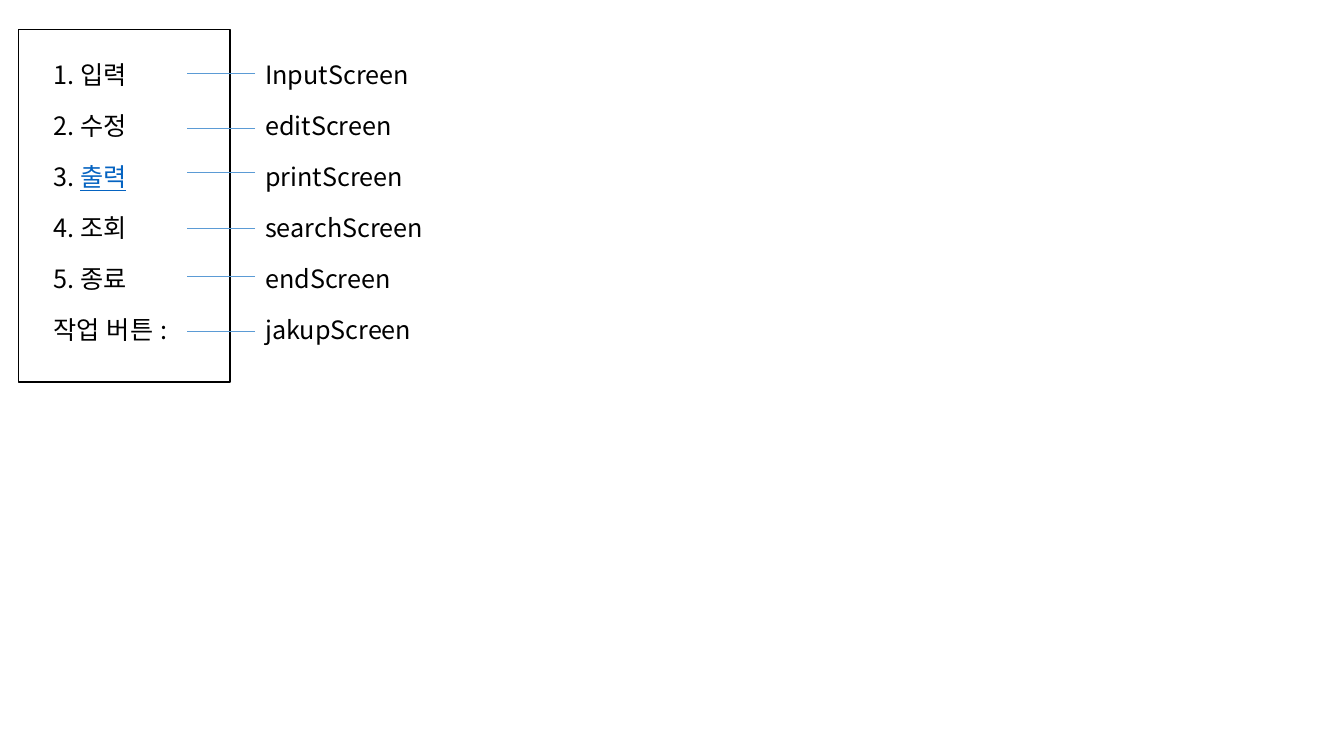
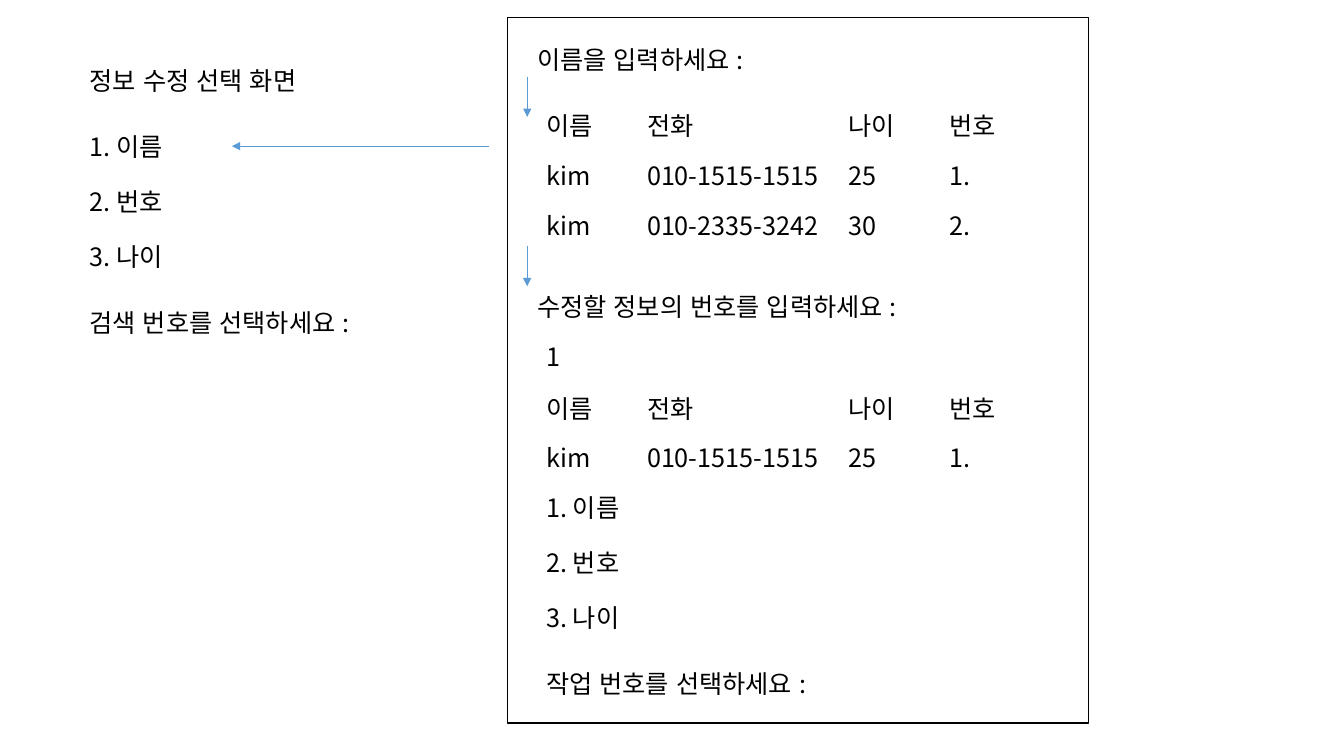
from dataclasses import dataclass
from typing import NamedTuple

from lxml.etree import SubElement
from pptx import Presentation
from pptx.dml.color import RGBColor
from pptx.enum.lang import MSO_LANGUAGE_ID
from pptx.enum.shapes import MSO_CONNECTOR, MSO_SHAPE
from pptx.enum.text import MSO_ANCHOR, MSO_AUTO_SIZE, PP_ALIGN
from pptx.oxml.ns import qn
from pptx.util import Pt


@dataclass(frozen=True)
class Theme:
    """Colours, font and sizes shared by the slides."""
    ink: RGBColor = RGBColor(0x00, 0x00, 0x00)
    link: RGBColor = RGBColor(0x05, 0x63, 0xC1)
    arrow: RGBColor = RGBColor(0x5B, 0x9B, 0xD5)
    font: str = "Noto Sans CJK KR"
    size: float = 18
    line_height: float = 21.6
    frame_width: float = 1
    arrow_width: float = 0.5


class Box(NamedTuple):
    """Position and size in points."""
    x: float
    y: float
    w: float
    h: float


class Line(NamedTuple):
    """Straight line from one point to another, in points."""
    x1: float
    y1: float
    x2: float
    y2: float
    arrow: bool = False


class Prompt(NamedTuple):
    """One line of screen text."""
    text: str
    box: Box


class Records(NamedTuple):
    """A grid of personal records."""
    x: float
    y: float
    rows: list[tuple[str, ...]]


THEME = Theme()
TWO_CONTENT = 3
TEXT_HEIGHT = 33
ROW_HEIGHT = 35.6
COLUMN_WIDTHS = (72, 144, 72, 61)
MENU_PITCH = 36.45
FIELD_PITCH = 39.3

MENU = ["1. 입력", "2. 수정", "3. 출력", "4. 조회", "5. 종료", "작업 버튼 :"]
LINKED = "출력"
SCREENS = ["InputScreen", "editScreen", "printScreen", "searchScreen", "endScreen", "jakupScreen"]
LINK_YS = (52.1, 91.9, 123.1, 162.9, 197.3, 236.9)
FIELDS = ["1. 이름", "2. 번호", "3. 나이"]
HEADER = ("이름", "전화", "나이", "번호")
FIRST_KIM = ("kim", "010-1515-1515", "25", "1.")
SECOND_KIM = ("kim", "010-2335-3242", "30", "2.")

PROMPTS = [
    Prompt("검색 번호를 선택하세요 :", Box(56.9, 216, 217.4, TEXT_HEIGHT)),
    Prompt("이름을 입력하세요 :", Box(376.6, 28.1, 226.8, TEXT_HEIGHT)),
    Prompt("수정할 정보의 번호를 입력하세요 :", Box(376.6, 204.5, 355.7, TEXT_HEIGHT)),
    Prompt("1", Box(383, 240.5, 55.4, TEXT_HEIGHT)),
    Prompt("작업 번호를 선택하세요 :", Box(383, 473.8, 217.4, TEXT_HEIGHT)),
]
RECORDS = [
    Records(383, 72.4, [HEADER, FIRST_KIM, SECOND_KIM]),
    Records(383, 274.2, [HEADER, FIRST_KIM]),
]
ARROWS = [
    Line(349.2, 104.4, 165.6, 104.4, True),
    Line(376.6, 54.7, 376.6, 83.5, True),
    Line(376.6, 175.7, 376.6, 204.5, True),
]


def write(p, text: str, *, color: RGBColor = THEME.ink, underline: bool = False) -> None:
    """Add a formatted run to a paragraph."""
    r = p.add_run()
    r.text = text
    r.font.size = Pt(THEME.size)
    r.font.color.rgb = color
    r.font.name = THEME.font
    r.font.language_id = MSO_LANGUAGE_ID.KOREAN
    if underline:
        r.font.underline = True
    SubElement(r._r.get_or_add_rPr(), qn("a:ea"), typeface=THEME.font)


def place(sp, box: Box):
    """Move a text shape and return its text frame, set to the shared layout."""
    sp.left, sp.top, sp.width, sp.height = map(Pt, box)
    tf = sp.text_frame
    tf.word_wrap = True
    tf.auto_size = MSO_AUTO_SIZE.NONE
    tf.vertical_anchor = MSO_ANCHOR.TOP
    tf.margin_left = tf.margin_right = Pt(7.2)
    tf.margin_top = tf.margin_bottom = Pt(3.6)
    return tf


def fill_title(s, text: str, box: Box) -> None:
    """Fill the title placeholder."""
    p = place(s.shapes.title, box).paragraphs[0]
    p.alignment = PP_ALIGN.LEFT
    write(p, text)


def fill_list(sp, items: list[str], x: float, y: float, w: float, pitch: float) -> None:
    """Fill a body placeholder with evenly spaced lines."""
    tf = place(sp, Box(x, y, w, len(items) * pitch + 7.2))
    for i, item in enumerate(items):
        p = tf.paragraphs[0] if i == 0 else tf.add_paragraph()
        p.space_before = Pt(0)
        p.space_after = Pt(pitch - THEME.line_height)
        pPr = p._p.get_or_add_pPr()
        pPr.set("marL", "0")
        pPr.set("indent", "0")
        SubElement(pPr, qn("a:buNone"))
        plain, linked, _ = item.partition(LINKED)
        write(p, plain)
        if linked:
            write(p, linked, color=THEME.link, underline=True)


def add_prompt(s, prompt: Prompt) -> None:
    """Add a line of screen text."""
    tf = place(s.shapes.add_textbox(0, 0, 0, 0), prompt.box)
    write(tf.paragraphs[0], prompt.text)


def add_frame(s, box: Box) -> None:
    """Add the outline of a console screen."""
    sp = s.shapes.add_shape(MSO_SHAPE.RECTANGLE, *map(Pt, box))
    sp.shadow.inherit = False
    sp.fill.background()
    sp.line.color.rgb = THEME.ink
    sp.line.width = Pt(THEME.frame_width)


def add_line(s, line: Line) -> None:
    """Add a thin line, with an arrowhead if asked."""
    sp = s.shapes.add_connector(MSO_CONNECTOR.STRAIGHT, *map(Pt, line[:4]))
    sp.line.color.rgb = THEME.arrow
    sp.line.width = Pt(THEME.arrow_width)
    if line.arrow:
        SubElement(sp.line._get_or_add_ln(), qn("a:tailEnd"), type="triangle")
    SubElement(sp._element.spPr, qn("a:effectLst"))


def add_records(s, records: Records) -> None:
    """Add an unfilled table of records."""
    rows = records.rows
    size = Box(records.x, records.y, sum(COLUMN_WIDTHS), ROW_HEIGHT * len(rows))
    table = s.shapes.add_table(len(rows), len(COLUMN_WIDTHS), *map(Pt, size)).table
    table.first_row = table.horz_banding = False
    for column, width in zip(table.columns, COLUMN_WIDTHS):
        column.width = Pt(width)
    for i, row in enumerate(rows):
        table.rows[i].height = Pt(ROW_HEIGHT)
        for j, text in enumerate(row):
            cell = table.cell(i, j)
            cell.fill.background()
            cell.margin_left, cell.margin_right = Pt(7.2), Pt(0)
            cell.margin_top = cell.margin_bottom = Pt(3.6)
            write(cell.text_frame.paragraphs[0], text)


def build_menu(prs) -> None:
    """Build the main menu with the screen each item opens."""
    s = prs.slides.add_slide(prs.slide_layouts[TWO_CONTENT])
    title = s.shapes.title._element
    title.getparent().remove(title)
    fill_list(s.placeholders[1], MENU, 31, 38.9, 176.4, MENU_PITCH)
    fill_list(s.placeholders[2], SCREENS, 182.2, 38.9, 159.8, MENU_PITCH)
    add_frame(s, Box(13.2, 21, 151, 252))
    for y in LINK_YS:
        add_line(s, Line(182.2, y, 133.5, y))


def build_edit(prs) -> None:
    """Build the edit screen and its dialogue."""
    s = prs.slides.add_slide(prs.slide_layouts[TWO_CONTENT])
    fill_title(s, "정보 수정 선택 화면", Box(56.9, 43.2, 217.4, TEXT_HEIGHT))
    fill_list(s.placeholders[1], FIELDS, 56.9, 90, 217.4, FIELD_PITCH)
    fill_list(s.placeholders[2], FIELDS, 383, 348.2, 217.4, FIELD_PITCH)
    add_frame(s, Box(362.4, 12.4, 415.2, 504))
    for prompt in PROMPTS:
        add_prompt(s, prompt)
    for records in RECORDS:
        add_records(s, records)
    for arrow in ARROWS:
        add_line(s, arrow)


def main() -> None:
    """Build and save the presentation."""
    prs = Presentation()
    prs.slide_width, prs.slide_height = Pt(960), Pt(540)
    build_menu(prs)
    build_edit(prs)
    prs.save("out.pptx")


if __name__ == "__main__":
    main()
